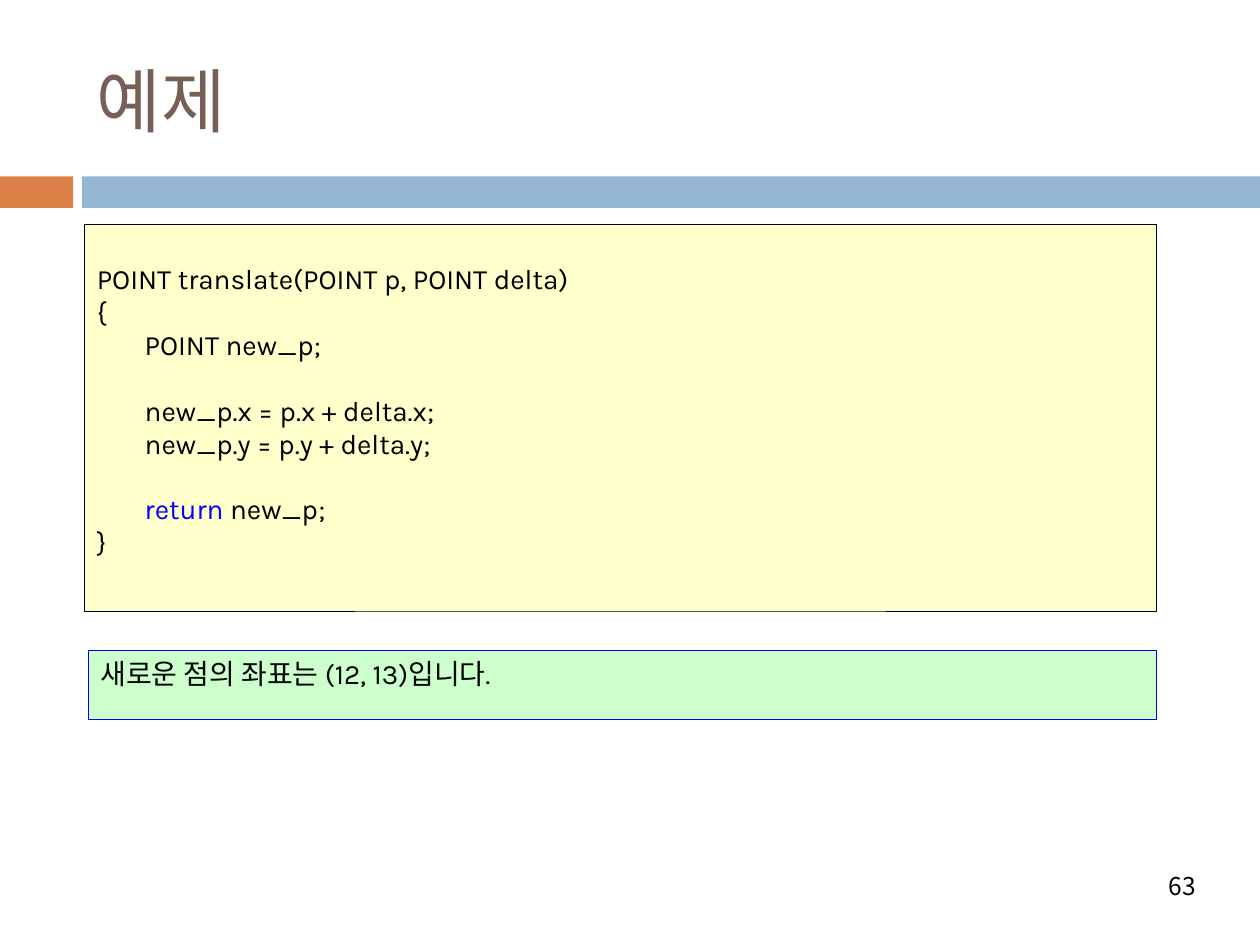
from lxml.etree import SubElement
from pptx import Presentation
from pptx.dml.color import RGBColor
from pptx.enum.shapes import MSO_SHAPE
from pptx.enum.text import MSO_ANCHOR, PP_ALIGN
from pptx.oxml.ns import qn
from pptx.util import Inches, Pt


def rgb(value):
    return RGBColor.from_string(value)


def add_run(p, text, size=16, font="Karla", color="000000"):
    r = p.add_run()
    r.text = text
    r.font.size = Pt(size)
    r.font.name = font
    r.font.color.rgb = rgb(color)
    SubElement(r.font._element, qn("a:ea"), typeface="Noto Sans CJK KR")


prs = Presentation()
prs.slide_width, prs.slide_height = Inches(10), Inches(7.5)
s = prs.slides.add_slide(prs.slide_layouts[6])

boxes = []
for x, y, w, h, fill, line, width in [
    (0, 1.4, 0.58, 0.25, "DD8047", None, 0),
    (0.65, 1.4, 9.35, 0.25, "94B6D2", None, 0),
    (0.67, 1.78, 8.51, 3.07, "FFFFCC", "000000", 0.25),
    (0.7, 5.16, 8.48, 0.55, "CCFFCC", "0000FF", 0.33),
]:
    sp = s.shapes.add_shape(MSO_SHAPE.RECTANGLE, Inches(x), Inches(y), Inches(w), Inches(h))
    sp.shadow.inherit = False
    sp.fill.solid()
    sp.fill.fore_color.rgb = rgb(fill)
    if line:
        sp.line.color.rgb = rgb(line)
        sp.line.width = Pt(width)
    else:
        sp.line.fill.background()
    sp.text_frame.vertical_anchor = MSO_ANCHOR.TOP
    boxes.append(sp)

for x, y, w, h, text, size, color, align in [
    (0.67, 0.25, 8.92, 1.08, "예제", 40, "775F55", PP_ALIGN.LEFT),
    (6.81, 6.83, 2.78, 0.4, "63", 14, "000000", PP_ALIGN.RIGHT),
]:
    tf = s.shapes.add_textbox(Inches(x), Inches(y), Inches(w), Inches(h)).text_frame
    tf.word_wrap = True
    tf.vertical_anchor = MSO_ANCHOR.MIDDLE
    tf.paragraphs[0].alignment = align
    add_run(tf.paragraphs[0], text, size=size, font="Noto Sans CJK KR", color=color)

code_box, output_box = boxes[2:]
tf = code_box.text_frame
tf.margin_top = Inches(0.35)
for i, (indent, before, runs) in enumerate([
    (0, 0, [("POINT translate(POINT p, POINT delta)", "000000")]),
    (0, 3.5, [("{", "000000")]),
    (0.38, 3.5, [("POINT new_p;", "000000")]),
    (0.38, 22, [("new_p.x = p.x + delta.x;", "000000")]),
    (0.38, 3.5, [("new_p.y = p.y + delta.y;", "000000")]),
    (0.38, 22, [("return ", "0000FF"), ("new_p;", "000000")]),
    (0, 3.5, [("}", "000000")]),
]):
    p = tf.add_paragraph() if i else tf.paragraphs[0]
    p.alignment = PP_ALIGN.LEFT
    p.line_spacing = 0.8
    p.space_before = Pt(before)
    p._p.get_or_add_pPr().set("marL", str(Inches(indent)))
    for text, color in runs:
        add_run(p, text, color=color)

p = output_box.text_frame.paragraphs[0]
p.alignment = PP_ALIGN.JUSTIFY
add_run(p, "새로운 점의 좌표는 (12, 13)입니다.")

prs.save("out.pptx")
